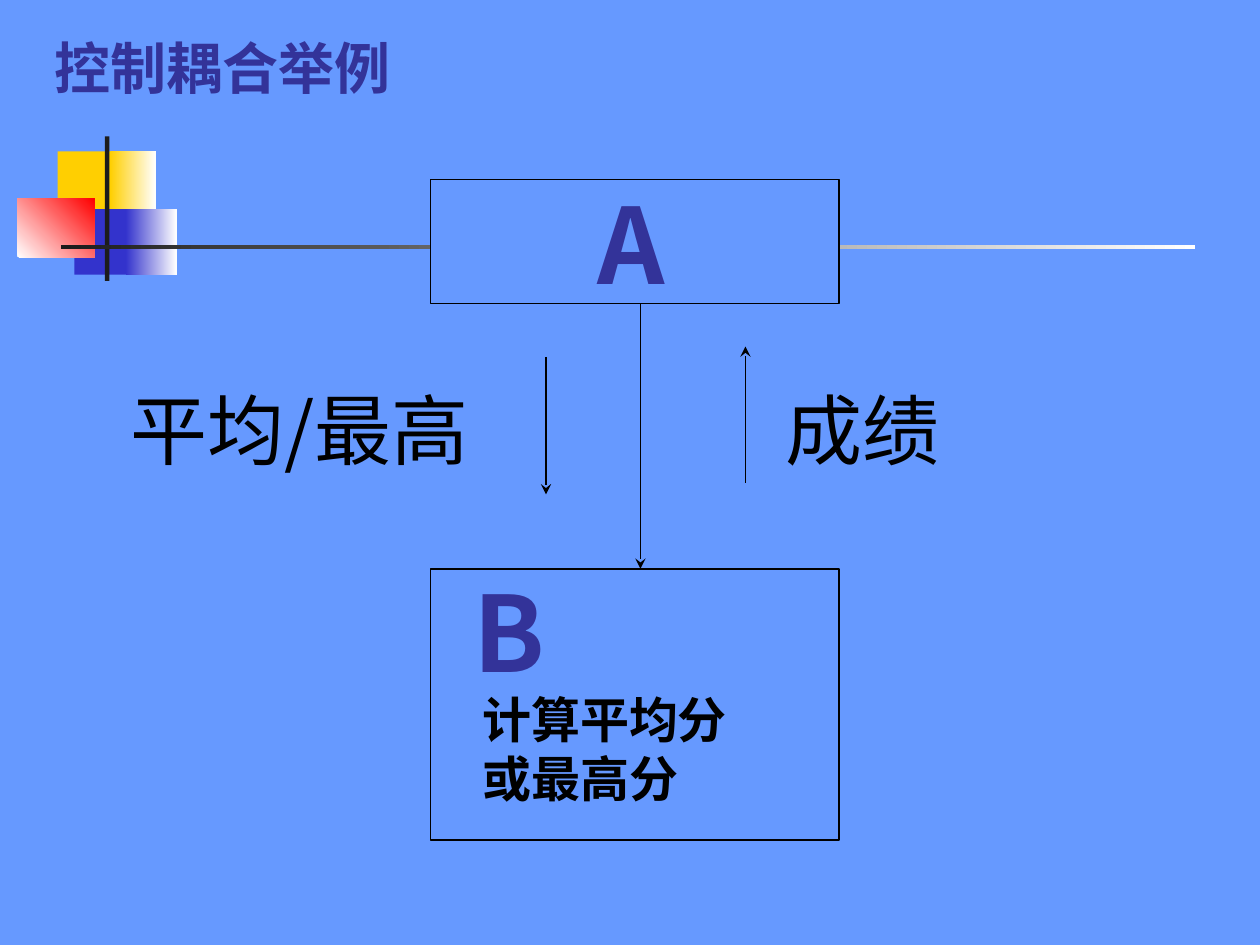
from lxml import etree
from pptx import Presentation
from pptx.dml.color import RGBColor
from pptx.enum.shapes import MSO_CONNECTOR, MSO_SHAPE
from pptx.enum.text import MSO_ANCHOR, MSO_AUTO_SIZE, PP_ALIGN
from pptx.oxml.ns import qn
from pptx.util import Pt

RECTANGLE = MSO_SHAPE.RECTANGLE
STRAIGHT = MSO_CONNECTOR.STRAIGHT
LEFT = PP_ALIGN.LEFT
MIDDLE, TOP = MSO_ANCHOR.MIDDLE, MSO_ANCHOR.TOP
NO_AUTOFIT = MSO_AUTO_SIZE.NONE

FONT = "Noto Sans CJK SC"
BLUE, INDIGO, BLACK, WHITE = "6699FF", "333399", "000000", "FFFFFF"
YELLOW, NAVY, RED, CHARCOAL = "FFCF01", "3333CC", "FF0000", "1C1C1C"
TITLE_ONLY = 5


def color(value):
    return RGBColor.from_string(value)


def add_rectangle(slide, left, top, width, height, colors, angle=0, line=None):
    """Draw a rectangle filled with one colour, or a gradient of two."""
    shape = slide.shapes.add_shape(RECTANGLE, Pt(left), Pt(top), Pt(width), Pt(height))
    shape.shadow.inherit = False
    if len(colors) == 1:
        shape.fill.solid()
        shape.fill.fore_color.rgb = color(colors[0])
    else:
        shape.fill.gradient()
        shape.fill.gradient_angle = angle
        for position, (stop, value) in enumerate(zip(shape.fill.gradient_stops, colors)):
            stop.color.rgb = color(value)
            stop.position = position
    if line:
        shape.line.color.rgb = color(line)
        shape.line.width = Pt(1)
    else:
        shape.line.fill.background()


def write_text(shape, text, size, font_color=BLACK, bold=False, wrap=False, anchor=TOP):
    frame = shape.text_frame
    frame.text = text
    frame.word_wrap = wrap
    frame.auto_size = NO_AUTOFIT
    frame.vertical_anchor = anchor
    for paragraph in frame.paragraphs:
        paragraph.alignment = LEFT
        for run in paragraph.runs:
            run.font.name = FONT
            run.font.size = Pt(size)
            run.font.bold = bold
            run.font.color.rgb = color(font_color)
            east_asian = etree.SubElement(run.font._element, qn("a:ea"))
            east_asian.set("typeface", FONT)


def add_label(slide, left, top, width, height, text, size, **text_format):
    box = slide.shapes.add_textbox(Pt(left), Pt(top), Pt(width), Pt(height))
    write_text(box, text, size, **text_format)


def add_arrow(slide, x, start, end):
    """Draw a vertical arrow with its head at the end."""
    arrow = slide.shapes.add_connector(STRAIGHT, Pt(x), Pt(start), Pt(x), Pt(end))
    arrow.line.color.rgb = color(BLACK)
    arrow.line.width = Pt(1)
    etree.SubElement(arrow.line._get_or_add_ln(), qn("a:tailEnd"), type="stealth")
    etree.SubElement(arrow._element.spPr, qn("a:effectLst"))


def add_ornament(slide, left, top):
    """Draw the coloured squares and the crossing bars."""
    parts = [
        (23, 8.5, 34.5, 37.5, [YELLOW], 0),
        (53, 8.5, 26, 37.5, [YELLOW, WHITE], 0),
        (32.5, 41.5, 33, 37.5, [NAVY], 0),
        (62, 41.5, 29, 37.5, [NAVY, WHITE], 0),
        (0, 35.5, 44, 33.5, [WHITE, RED], 45),
        (50, 0, 2.5, 82.5, [CHARCOAL], 0),
        (25, 62, 648, 2.5, [CHARCOAL, WHITE], 0),
    ]
    for x, y, width, height, colors, angle in parts:
        add_rectangle(slide, left + x, top + y, width, height, colors, angle)


def add_title(slide, left, top, width, height):
    title = slide.shapes.title
    title.left, title.top = Pt(left), Pt(top)
    title.width, title.height = Pt(width), Pt(height)
    write_text(title, "控制耦合举例", 32, font_color=INDIGO, bold=True, wrap=True, anchor=MIDDLE)


def add_diagram(slide, left, top, width):
    """Draw module A calling module B, with the data passed between them."""
    module_left, module_width = left + 178.5, 233.5
    caller_height, callee_top, callee_height = 71, top + 222.5, 155
    heading = {"font_color": INDIGO, "bold": True}

    # Calling module
    add_rectangle(slide, module_left, top, module_width, caller_height, [BLUE], line=BLACK)
    add_label(slide, module_left + 88.5, top - 3.5, 56, 79, "A", 60, **heading)

    # Called module
    add_rectangle(slide, module_left, callee_top, module_width, callee_height, [BLUE], line=BLACK)
    add_label(slide, module_left + 22.5, callee_top + 65.5, 194, 75,
              "计算平均分\n或最高分", 28, bold=True, wrap=True)
    add_label(slide, module_left + 17.5, callee_top - 4, 55, 79, "B", 60, **heading)

    # Call, control flag and result
    add_arrow(slide, left + 298.5, top + caller_height, callee_top)
    add_arrow(slide, left + 244.5, top + 101.5, top + 180)
    add_arrow(slide, left + 358.5, top + 173.5, top + 95.5)
    add_label(slide, left, top + 112.5, 210, 60, "平均/最高", 44, wrap=True)
    add_label(slide, left + width - 103, top + 112.5, 103, 60, "成绩", 44)


def main():
    presentation = Presentation()
    presentation.slide_width, presentation.slide_height = Pt(720), Pt(540)
    slide = presentation.slides.add_slide(presentation.slide_layouts[TITLE_ONLY])
    slide.background.fill.solid()
    slide.background.fill.fore_color.rgb = color(BLUE)
    add_ornament(slide, 10, 78)
    add_title(slide, 24, 4.5, 348, 67.5)
    add_diagram(slide, 67.5, 102.5, 477.5)
    presentation.save("out.pptx")


if __name__ == "__main__":
    main()
